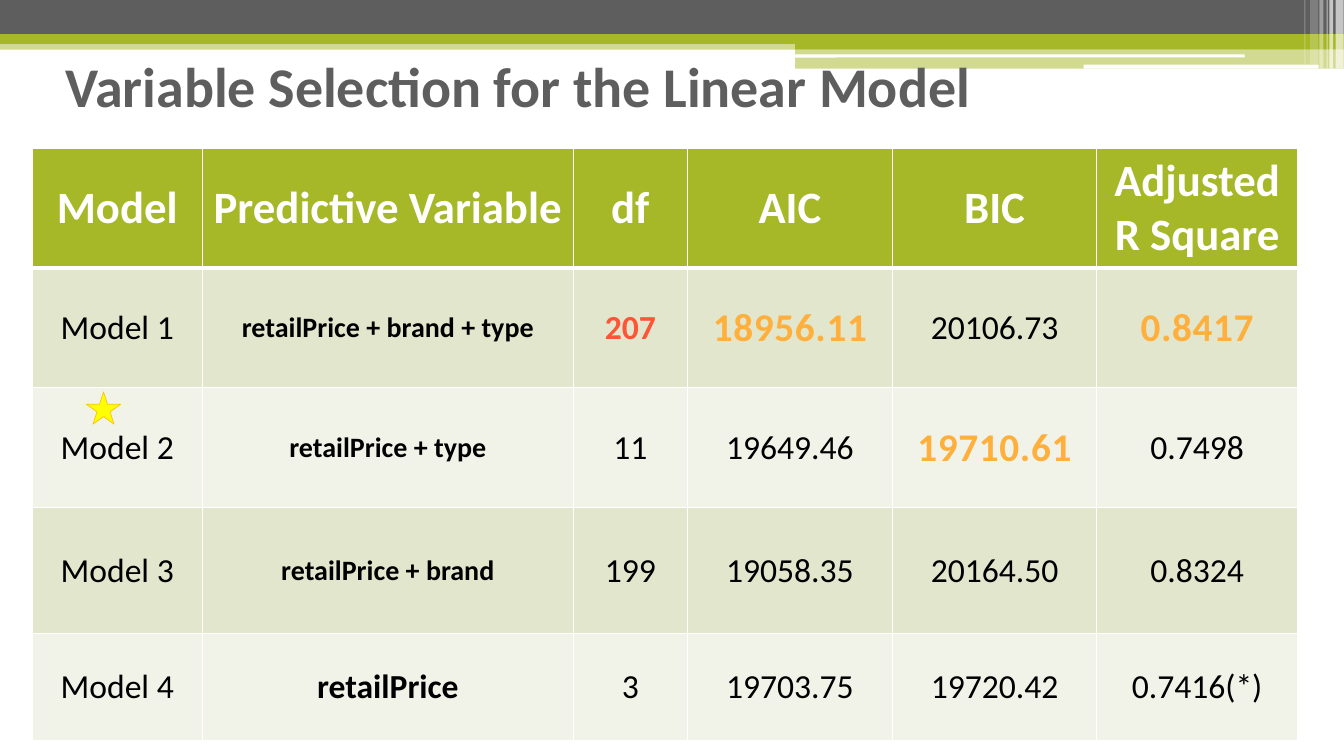
import pptx
import pptx.dml.color
import pptx.enum.shapes
import pptx.enum.text
import pptx.oxml
import pptx.oxml.ns
import pptx.util
from lxml import etree

Cm, Pt = pptx.util.Cm, pptx.util.Pt
SHAPE = pptx.enum.shapes.MSO_SHAPE
MIDDLE = pptx.enum.text.MSO_ANCHOR.MIDDLE
CENTER = pptx.enum.text.PP_ALIGN.CENTER

COLORS = {
    "gray": "5E5E5E", "green": "A6B727", "white": "FFFFFF", "black": "000000",
    "odd row": "E1E6CD", "even row": "F1F3E8", "red": "FF5436",
    "gold": "FFAF3B", "star": "FFFF00", "star edge": "FEC306",
}

TITLE = "Variable Selection for the Linear Model"
TITLE_AREA = (1.4, 1.12, 30.48, 2.03)

# left, top, width, height in cm, colour, opacity in percent
BANDS = [
    (0, 1.02, 33.87, 0.23, "green", 50),
    (0, 0, 33.87, 0.86, "gray", 100),
    (0, 0.86, 33.87, 0.25, "green", 100),
    (20.04, 0.99, 13.83, 0.25, "green", 100),
    (20.04, 1.22, 13.83, 0.51, "green", 50),
]
GROOVES = [
    (20.02, 1.37, 11.35, 0.08, "white", 100),
    (27.31, 1.63, 5.92, 0.1, "white", 100),
]
STRIPES = [
    (33.66, 0, 0.2, 1.73, "white", 65),
    (33.5, 0, 0.1, 1.73, "white", 65),
    (33.43, 0, 0.03, 1.73, "white", 60),
    (33.25, 0, 0.1, 1.73, "white", 40),
    (33.02, 0, 0.2, 1.63, "white", 20),
    (32.87, 0, 0.03, 1.63, "white", 30),
]
STAR_AREA = (2.18, 9.88, 0.86, 0.81)

# size, bold, colour, letter spacing in hundredths of a point
STYLES = {
    "title": (40, True, "gray", 0),
    "header": (32, True, "white", 0),
    "plain": (24, False, "black", 0),
    "predictor": (20, True, "black", 0),
    "strong": (24, True, "black", 0),
    "warning": (24, True, "red", 0),
    "best": (28, True, "gold", 50),
}

ROWS = [
    ["Model", "Predictive Variable", "df", "AIC", "BIC", "Adjusted R Square"],
    ["Model 1", "retailPrice + brand + type", "207", "18956.11", "20106.73", "0.8417"],
    ["Model 2", "retailPrice + type", "11", "19649.46", "19710.61", "0.7498"],
    ["Model 3", "retailPrice + brand", "199", "19058.35", "20164.50", "0.8324"],
    ["Model 4", "retailPrice", "3", "19703.75", "19720.42", "0.7416(*)"],
]
SPECIAL_CELLS = {
    (1, 1): "predictor", (2, 1): "predictor", (3, 1): "predictor",
    (4, 1): "strong", (1, 2): "warning",
    (1, 3): "best", (1, 5): "best", (2, 4): "best",
}
TABLE_CORNER = (0.81, 3.74)
COLUMN_WIDTHS = [4.29, 9.35, 2.87, 5.18, 5.13, 5.08]
ROW_HEIGHTS = [3.01, 3.02, 3.02, 3.18, 2.69]


def rgb(name):
    return pptx.dml.color.RGBColor.from_string(COLORS[name])


def write(frame, text, style):
    size, bold, color, spacing = STYLES[style]
    span = frame.paragraphs[0].add_run()
    span.text = text
    for name, value in {"size": Pt(size), "bold": bold, "name": "Calibri"}.items():
        setattr(span.font, name, value)
    span.font.color.rgb = rgb(color)
    if spacing:
        span._r.get_or_add_rPr().set("spc", str(spacing))


def add_filled(page, kind, area, color, opacity=100):
    shape = page.shapes.add_shape(kind, *map(Cm, area))
    shape.shadow.inherit = False
    shape.fill.solid()
    shape.fill.fore_color.rgb = rgb(color)
    shape.line.fill.background()
    if opacity < 100:
        tone = shape.fill._xPr.find(".//" + pptx.oxml.ns.qn("a:srgbClr"))
        etree.SubElement(tone, pptx.oxml.ns.qn("a:alpha"), val=str(opacity * 1000))
    return shape


def add_borders(cell, widths):
    """Draw white cell edges; widths maps an edge tag to points."""
    properties = cell._tc.get_or_add_tcPr()
    for position, (edge, width) in enumerate(widths.items()):
        line = pptx.oxml.parse_xml(
            f'<a:{edge} {pptx.oxml.ns.nsdecls("a")} w="{Pt(width)}"><a:solidFill>'
            f'<a:srgbClr val="{COLORS["white"]}"/></a:solidFill></a:{edge}>')
        properties.insert(position, line)


def add_model_table(page):
    size = (sum(COLUMN_WIDTHS), sum(ROW_HEIGHTS))
    frame = page.shapes.add_table(len(ROWS), len(COLUMN_WIDTHS),
                                  *map(Cm, TABLE_CORNER + size))
    table = frame.table
    for column, width in zip(table.columns, COLUMN_WIDTHS):
        column.width = Cm(width)
    for row, height in zip(table.rows, ROW_HEIGHTS):
        row.height = Cm(height)
    for r, texts in enumerate(ROWS):
        fill = "green" if r == 0 else "odd row" if r % 2 else "even row"
        for c, text in enumerate(texts):
            cell = table.cell(r, c)
            cell.fill.solid()
            cell.fill.fore_color.rgb = rgb(fill)
            cell.vertical_anchor = MIDDLE
            style = "header" if r == 0 else SPECIAL_CELLS.get((r, c), "plain")
            write(cell.text_frame, text, style)
            cell.text_frame.paragraphs[0].alignment = CENTER
            add_borders(cell, {"lnL": 1, "lnR": 1, "lnT": 3 if r == 1 else 1,
                               "lnB": 3 if r == 0 else 1})


def main():
    deck = pptx.Presentation()
    deck.slide_width, deck.slide_height = Cm(33.87), Cm(19.05)
    page = deck.slides.add_slide(deck.slide_layouts[6])

    for kind, strips in ((SHAPE.RECTANGLE, BANDS),
                         (SHAPE.ROUNDED_RECTANGLE, GROOVES),
                         (SHAPE.RECTANGLE, STRIPES)):
        for *area, color, opacity in strips:
            add_filled(page, kind, area, color, opacity)

    box = page.shapes.add_textbox(*map(Cm, TITLE_AREA))
    box.text_frame.word_wrap = True
    box.text_frame.vertical_anchor = MIDDLE
    write(box.text_frame, TITLE, "title")

    add_model_table(page)

    star = add_filled(page, SHAPE.STAR_5_POINT, STAR_AREA, "star")
    star.line.color.rgb = rgb("star edge")
    star.line.width = Pt(0.5)

    deck.save("out.pptx")


if __name__ == "__main__":
    main()
